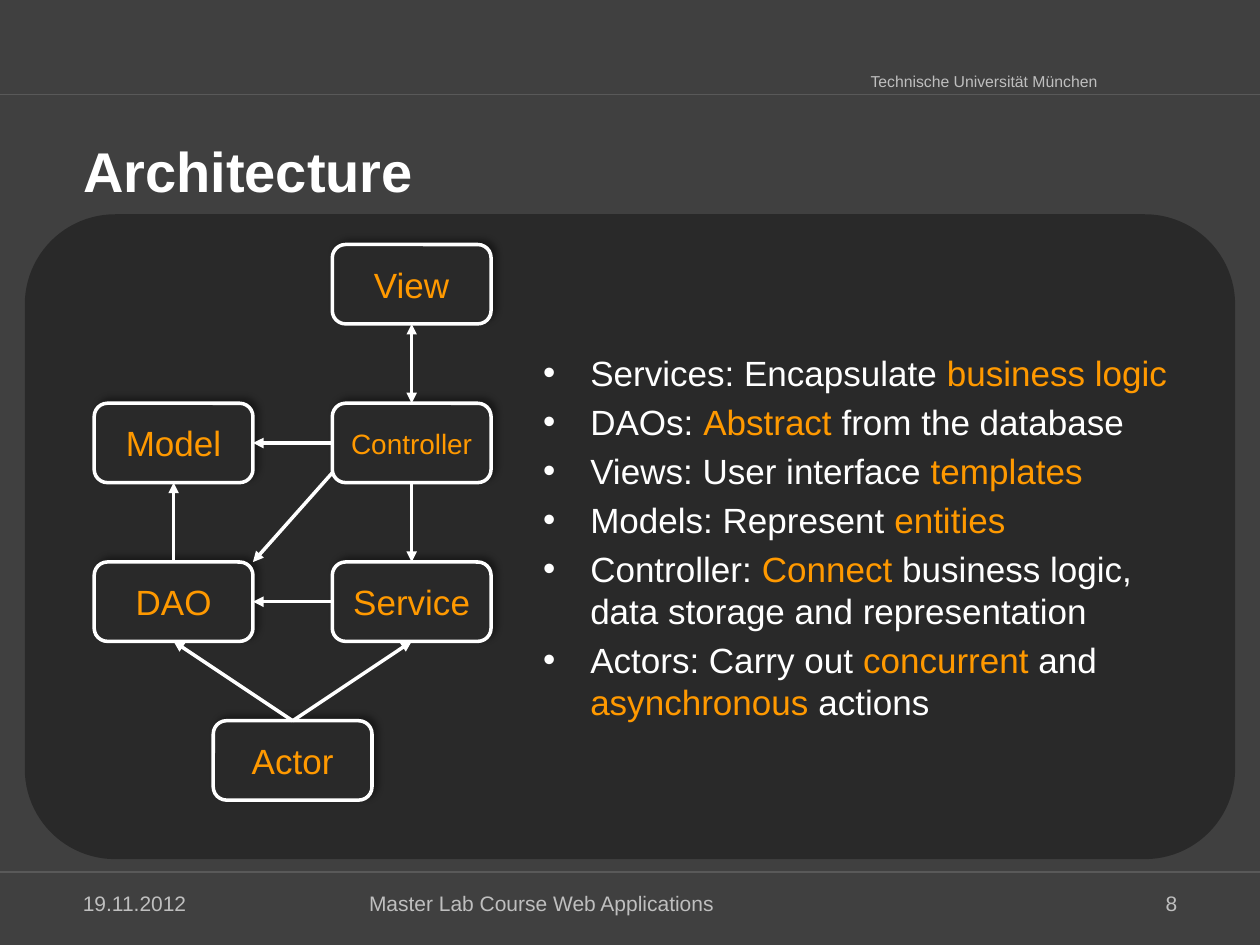
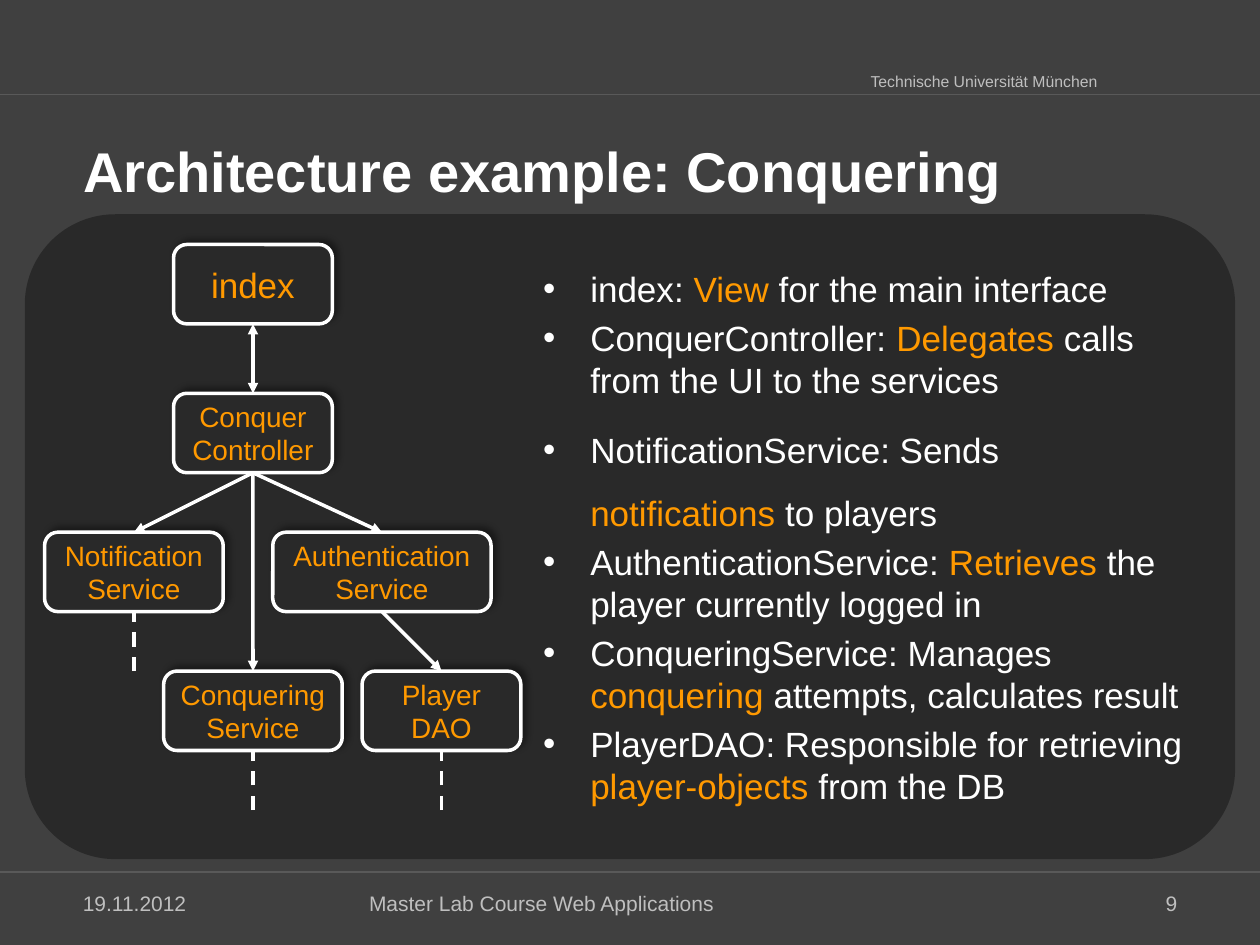
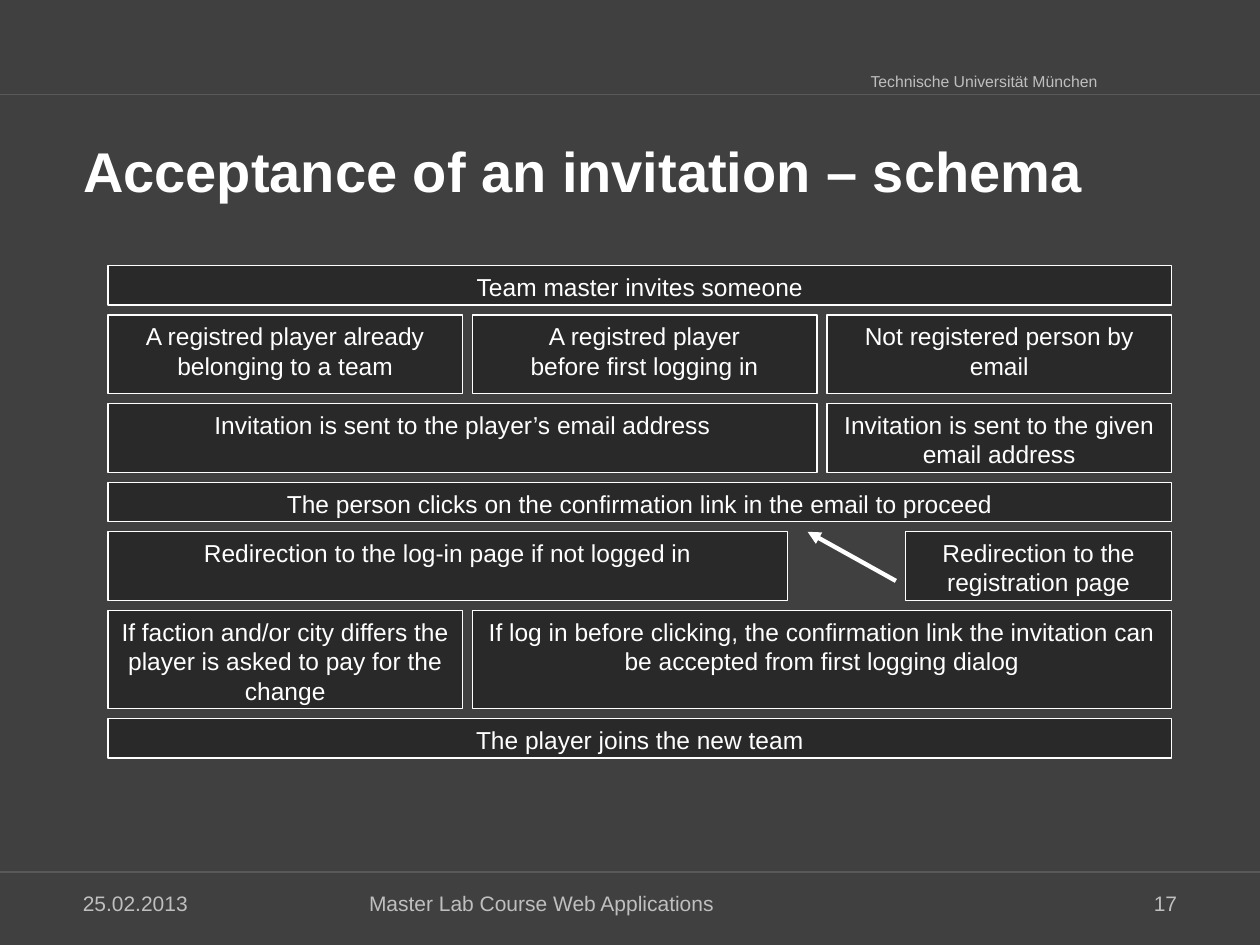
import pptx
import pptx.dml.color
import pptx.enum.dml
import pptx.enum.shapes
import pptx.enum.text
import pptx.oxml.ns
import pptx.util
from lxml import etree

Cm = pptx.util.Cm
Pt = pptx.util.Pt
RGBColor = pptx.dml.color.RGBColor
Shapes = pptx.enum.shapes.MSO_SHAPE
Align = pptx.enum.text.PP_ALIGN
Anchor = pptx.enum.text.MSO_ANCHOR
qn = pptx.oxml.ns.qn

BACKGROUND = RGBColor(0x40, 0x40, 0x40)
PANEL = RGBColor(0x29, 0x29, 0x29)
RULE = RGBColor(0x59, 0x59, 0x59)
MUTED = RGBColor(0xBF, 0xBF, 0xBF)
WHITE = RGBColor(0xFF, 0xFF, 0xFF)
ORANGE = RGBColor(0xFF, 0x99, 0x00)
FONT = "Arial"
TOP, LEFT, BOTTOM, RIGHT = range(4)

SLIDE_WIDTH, SLIDE_HEIGHT = 25.4, 19.05
TITLE_BOX = (1.42, 2.54, 22.58, 1.7)
PANEL_BOX = (0.5, 4.32, 24.4, 13)
FOOTER_BOX = (1.42, 17.78, 22.56, 0.84)
SCHEMA_BOX = (2.18, 5.36, 21.44, 9.92)
NODE_WIDTH, NODE_HEIGHT = 3.2, 1.6


def lengths(box):
    return [Cm(value) for value in box]


def within(box, left, top, width, height):
    return box[0] + left, box[1] + top, width, height


def add_run(paragraph, text, size, color, bold=False):
    run = paragraph.add_run()
    run.text = text
    run.font.name = FONT
    run.font.size = Pt(size)
    run.font.bold = bold
    run.font.color.rgb = color


def write(frame, text, size, color, align=Align.LEFT, anchor=Anchor.MIDDLE, bold=False):
    frame.word_wrap = True
    frame.vertical_anchor = anchor
    for number, line in enumerate(text.split("\n")):
        paragraph = frame.add_paragraph() if number else frame.paragraphs[0]
        paragraph.alignment = align
        for position, part in enumerate(line.split("\v")):
            if position:
                paragraph.add_line_break()
            add_run(paragraph, part, size, color, bold)


def add_label(slide, box, text, size, align=Align.LEFT, anchor=Anchor.MIDDLE):
    label = slide.shapes.add_textbox(*lengths(box))
    write(label.text_frame, text, size, MUTED, align, anchor)
    return label


def add_block(slide, kind, box, line_width=None):
    block = slide.shapes.add_shape(kind, *lengths(box))
    block.shadow.inherit = False
    block.fill.solid()
    block.fill.fore_color.rgb = PANEL
    if line_width:
        block.line.color.rgb = WHITE
        block.line.width = Pt(line_width)
    else:
        block.line.fill.background()
    return block


def add_line(slide, start, end, color=WHITE, width=2, heads=(), dashed=False):
    line = slide.shapes.add_connector(
        pptx.enum.shapes.MSO_CONNECTOR.STRAIGHT, *lengths(start + end))
    line.line.color.rgb = color
    line.line.width = Pt(width)
    if dashed:
        line.line.dash_style = pptx.enum.dml.MSO_LINE.DASH
    outline = line.element.spPr.find(qn("a:ln"))
    for head in heads:
        etree.SubElement(outline, qn("a:" + head), type="triangle")
    etree.SubElement(line.element.spPr, qn("a:effectLst"))
    return line


def link(slide, source, source_side, target, target_side, heads=("tailEnd",)):
    line = add_line(slide, (0, 0), (1, 1), heads=heads)
    line.begin_connect(source, source_side)
    line.end_connect(target, target_side)


def decorate_master(deck, slide):
    master = deck.slide_master
    master.background.fill.solid()
    master.background.fill.fore_color.rgb = BACKGROUND
    university = add_label(slide, (17.3, 1.32, 5.1, 0.63),
                           "Technische Universität München", 9, anchor=Anchor.TOP)
    university.text_frame.word_wrap = False
    rules = [add_line(slide, (0, y), (SLIDE_WIDTH, y), RULE, 0.75) for y in (17.58, 1.9)]
    for part in [university, *rules]:
        master.shapes.element.append(part.element)


def add_footer(slide, box, date, number):
    height = box[3]
    add_label(slide, within(box, 0, 0, 5.28, height), date, 12)
    add_label(slide, within(box, 5.77, 0, 11, height),
              "Master Lab Course Web Applications", 12)
    add_label(slide, within(box, box[2] - 5.28, 0, 5.28, height), number, 12, Align.RIGHT)


def start_slide(deck, title, date, number):
    slide = deck.slides.add_slide(deck.slide_layouts[5])
    heading = slide.shapes.title
    heading.left, heading.top, heading.width, heading.height = lengths(TITLE_BOX)
    write(heading.text_frame, title, 32, WHITE, anchor=Anchor.BOTTOM, bold=True)
    add_footer(slide, FOOTER_BOX, date, number)
    return slide


def add_panel(slide, box):
    panel = add_block(slide, Shapes.ROUNDED_RECTANGLE, box)
    panel.adjustments[0] = 0.14


def add_node(slide, box, center, top, text, size=16, width=NODE_WIDTH):
    node = add_block(slide, Shapes.ROUNDED_RECTANGLE,
                     within(box, center - width / 2, top, width, NODE_HEIGHT), 2)
    effects = node.element.spPr.find(qn("a:effectLst"))
    shadow = etree.SubElement(effects, qn("a:outerShdw"), blurRad=str(Pt(4)),
                              dist=str(Pt(3)), dir="18900000", algn="bl", rotWithShape="0")
    shade = etree.SubElement(shadow, qn("a:srgbClr"), val="000000")
    etree.SubElement(shade, qn("a:alpha"), val="40000")
    write(node.text_frame, text, size, ORANGE, Align.CENTER)
    return node


def add_bullets(slide, box, bullets, spacings):
    body = slide.shapes.add_textbox(*lengths(within(box, 10.2, 0, 13.6, box[3]))).text_frame
    body.word_wrap = True
    body.vertical_anchor = Anchor.MIDDLE
    for number, bullet in enumerate(bullets):
        paragraph = body.add_paragraph() if number else body.paragraphs[0]
        properties = paragraph._p.get_or_add_pPr()
        properties.set("marL", str(Cm(0.95)))
        properties.set("indent", str(-Cm(0.95)))
        etree.SubElement(properties, qn("a:buFont"), typeface=FONT)
        etree.SubElement(properties, qn("a:buChar"), char="•")
        paragraph.space_before = Pt(4)
        if number in spacings:
            paragraph.line_spacing = spacings[number]
        for position, part in enumerate(bullet.split("*")):
            if part:
                add_run(paragraph, part, 20, ORANGE if position % 2 else WHITE)


def draw_layers(slide, box):
    step, first_row = 2 * NODE_HEIGHT, 0.61
    left, middle, right = 3, 5.4, 7.8
    rows = [first_row + step * row for row in range(4)]
    controller = add_node(slide, box, right, rows[1], "Controller")
    model = add_node(slide, box, left, rows[1], "Model", 20)
    view = add_node(slide, box, right, rows[0], "View", 20)
    service = add_node(slide, box, right, rows[2], "Service", 20)
    dao = add_node(slide, box, left, rows[2], "DAO", 20)
    actor = add_node(slide, box, middle, rows[3], "Actor", 20)
    link(slide, controller, TOP, view, BOTTOM, ("headEnd", "tailEnd"))
    link(slide, controller, LEFT, model, RIGHT)
    link(slide, controller, BOTTOM, service, TOP)
    link(slide, service, LEFT, dao, RIGHT)
    link(slide, actor, TOP, dao, BOTTOM)
    link(slide, actor, TOP, service, BOTTOM)
    link(slide, dao, TOP, model, BOTTOM)
    add_line(slide,
             (box[0] + right - NODE_WIDTH / 2, box[1] + rows[1] + 1.4),
             (box[0] + left + NODE_WIDTH / 2, box[1] + rows[2]), heads=("tailEnd",))


def draw_conquering(slide, box):
    rows = [0.61, 3.61, 6.41, 9.21]
    left, middle, right, far_right = 2.2, 4.6, 7.2, 8.4
    controller = add_node(slide, box, middle, rows[1], "Conquer\vController")
    index = add_node(slide, box, middle, rows[0], "index", 20)
    conquering = add_node(slide, box, middle, rows[3], "Conquering\vService", width=3.6)
    authentication = add_node(slide, box, right, rows[2], "Authentication\vService", width=4.4)
    notification = add_node(slide, box, left, rows[2], "Notification\vService", width=3.6)
    player = add_node(slide, box, far_right, rows[3], "Player\vDAO")
    link(slide, controller, TOP, index, BOTTOM, ("headEnd", "tailEnd"))
    for service in (notification, conquering, authentication):
        link(slide, controller, BOTTOM, service, TOP)
    link(slide, authentication, BOTTOM, player, TOP)
    for center, row in ((middle, 3), (left, 2), (far_right, 3)):
        x, y = box[0] + center, box[1] + rows[row] + NODE_HEIGHT
        add_line(slide, (x, y + 1.2), (x, y), dashed=True)


def draw_schema(slide, box, rows):
    top = 0
    for height, gap, steps in rows:
        left = 0
        for width, text in steps:
            step = add_block(slide, Shapes.RECTANGLE,
                             within(box, left, top, width, height), 0.75)
            write(step.text_frame, text, 14, WHITE, Align.CENTER, Anchor.TOP)
            left += width + gap
        top += height + 0.2
    add_line(slide, (box[0] + 15.88, box[1] + 6.35), (box[0] + 14.1, box[1] + 5.36),
             width=2.5, heads=("tailEnd",))


def add_architecture_slide(deck, title, number, draw, bullets, spacings):
    slide = start_slide(deck, title, "19.11.2012", number)
    add_panel(slide, PANEL_BOX)
    draw(slide, PANEL_BOX)
    add_bullets(slide, PANEL_BOX, bullets, spacings)
    return slide


LAYER_BULLETS = [
    "Services: Encapsulate *business logic*",
    "DAOs: *Abstract* from the database",
    "Views: User interface *templates*",
    "Models: Represent *entities*",
    "Controller: *Connect* business logic, data storage and representation",
    "Actors: Carry out *concurrent* and *asynchronous* actions",
]
CONQUERING_BULLETS = [
    "index: *View *for the main interface",
    "ConquerController: *Delegates *calls from the UI to the services",
    "NotificationService: Sends *notifications *to players",
    "AuthenticationService: *Retrieves *the player currently logged in",
    "ConqueringService: Manages *conquering *attempts, calculates result",
    "PlayerDAO: Responsible for retrieving *player-objects *from the DB",
]
FULL = SCHEMA_BOX[2]
SCHEMA_ROWS = [
    (0.79, 0.2, [(FULL, "Team master invites someone")]),
    (1.59, 0.2, [(7.14, "A registred player already belonging to a team"),
                 (6.95, "A registred player\nbefore first logging in"),
                 (6.95, "Not registered person by email")]),
    (1.39, 0.2, [(14.29, "Invitation is sent to the player’s email address"),
                 (6.95, "Invitation is sent to the given email address")]),
    (0.79, 0.2, [(FULL, "The person clicks on the confirmation link in the email to proceed")]),
    (1.39, 2.39, [(13.69, "Redirection to the log-in page if not logged in"),
                  (5.36, "Redirection to the registration page")]),
    (1.98, 0.2, [(7.14, "If faction and/or city differs the player is asked to pay "
                        "for the change"),
                 (14.1, "If log in before clicking, the confirmation link the invitation "
                        "can be accepted from first logging dialog")]),
    (0.79, 0.2, [(FULL, "The player joins the new team")]),
]

deck = pptx.Presentation()
deck.slide_width, deck.slide_height = Cm(SLIDE_WIDTH), Cm(SLIDE_HEIGHT)
architecture = add_architecture_slide(
    deck, "Architecture", "8", draw_layers, LAYER_BULLETS, {})
decorate_master(deck, architecture)
add_architecture_slide(deck, "Architecture example: Conquering", "9",
                       draw_conquering, CONQUERING_BULLETS, {2: 1.5})
invitation = start_slide(deck, "Acceptance of an invitation – schema", "25.02.2013", "17")
draw_schema(invitation, SCHEMA_BOX, SCHEMA_ROWS)
deck.save("out.pptx")
